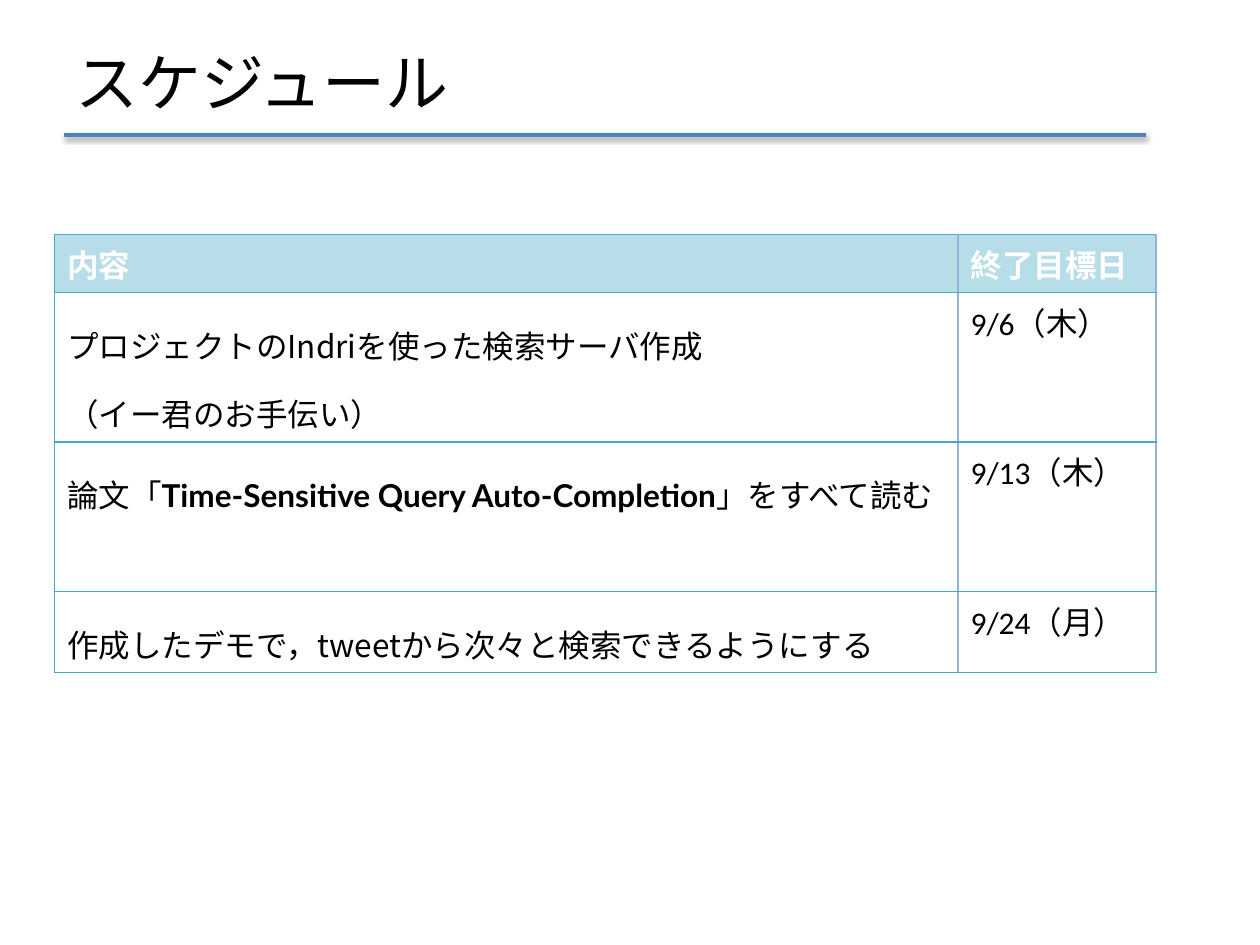
from lxml.etree import SubElement
from pptx import Presentation
from pptx.dml.color import RGBColor
from pptx.enum.shapes import MSO_CONNECTOR
from pptx.enum.text import MSO_ANCHOR
from pptx.oxml import parse_xml
from pptx.oxml.ns import nsdecls, qn
from pptx.util import Pt

BLACK = RGBColor(0x00, 0x00, 0x00)
WHITE = RGBColor(0xFF, 0xFF, 0xFF)
HEADER_FILL = RGBColor(0xB7, 0xDE, 0xE8)
TEAL = RGBColor(0x46, 0xAA, 0xC5)
PALE_BLUE = RGBColor(0x95, 0xB3, 0xD7)
RULE_BLUE = RGBColor(0x4F, 0x81, 0xBD)
JAPANESE, LATIN, PAPER = "Noto Sans CJK JP", "Calibri", "Lato"

TITLE = "スケジュール"
HEADERS = ["内容", "終了目標日"]
TASKS = [
    ([[("プロジェクトのIndriを使った検索サーバ作成", JAPANESE)],
      [("（イー君のお手伝い）", JAPANESE)]], "9/6（木）"),
    ([[("論文「", JAPANESE),
       ("Time-Sensitive Query Auto-Completion", PAPER),
       ("」をすべて読む", JAPANESE)]], "9/13（木）"),
    ([[("作成したデモで，tweetから次々と検索できるようにする", JAPANESE)]], "9/24（月）"),
]
COLUMN_WIDTHS = [516.25, 113.25]
ROW_HEIGHTS = [33.2, 85.4, 85.4, 46.2]


def add_run(paragraph, text, typeface, size, color, bold=False):
    run = paragraph.add_run()
    run.text = text
    font = run.font
    font.name, font.size, font.bold = typeface, Pt(size), bold
    font.color.rgb = color
    SubElement(run._r.get_or_add_rPr(), qn("a:ea"), typeface=JAPANESE)


def set_borders(cell, left):
    sides = [("L", *left), ("R", PALE_BLUE, 1), ("T", TEAL, 0.75), ("B", TEAL, 0.75)]
    properties = cell._tc.get_or_add_tcPr()
    for index, (side, color, width) in enumerate(sides):
        properties.insert(index, parse_xml(
            f'<a:ln{side} {nsdecls("a")} w="{Pt(width)}"><a:solidFill>'
            f'<a:srgbClr val="{color}"/></a:solidFill></a:ln{side}>'))


def fill_cell(cell, paragraphs, color=BLACK, header=False, spacing=None):
    frame = cell.text_frame
    for index, runs in enumerate(paragraphs):
        paragraph = frame.add_paragraph() if index else frame.paragraphs[0]
        if spacing:
            paragraph.line_spacing = spacing
        for text, typeface in runs:
            add_run(paragraph, text, typeface, 18, color, header or typeface == PAPER)
    if header:
        cell.fill.solid()
        cell.fill.fore_color.rgb = HEADER_FILL
    else:
        cell.fill.background()


presentation = Presentation()
presentation.slide_width, presentation.slide_height = Pt(720), Pt(540)
slide = presentation.slides.add_slide(presentation.slide_layouts[6])

title = slide.shapes.add_textbox(Pt(36), Pt(21.6), Pt(588), Pt(49.7))
title.text_frame.word_wrap = True
title.text_frame.vertical_anchor = MSO_ANCHOR.MIDDLE
add_run(title.text_frame.paragraphs[0], TITLE, JAPANESE, 36, BLACK)

table_frame = slide.shapes.add_table(
    len(ROW_HEIGHTS), len(HEADERS), Pt(31.2), Pt(134),
    Pt(sum(COLUMN_WIDTHS)), Pt(sum(ROW_HEIGHTS)))
table = table_frame.table
table.horz_banding = False
for column, width in zip(table.columns, COLUMN_WIDTHS):
    column.width = Pt(width)
for row, height in zip(table.rows, ROW_HEIGHTS):
    row.height = Pt(height)

for index, header in enumerate(HEADERS):
    fill_cell(table.cell(0, index), [[(header, LATIN)]], WHITE, header=True)
for index, (task, due) in enumerate(TASKS, 1):
    fill_cell(table.cell(index, 0), task, spacing=1.5)
    fill_cell(table.cell(index, 1), [[(due, LATIN)]])
for row in table.rows:
    for cell, left in zip(row.cells, [(TEAL, 0.75), (PALE_BLUE, 1)]):
        set_borders(cell, left)

rule = slide.shapes.add_connector(
    MSO_CONNECTOR.STRAIGHT, Pt(36.7), Pt(77.2), Pt(654.8), Pt(77.2))
rule.line.color.rgb = RULE_BLUE
rule.line.width = Pt(2)
rule._element.spPr.append(parse_xml(
    f'<a:effectLst {nsdecls("a")}><a:outerShdw blurRad="{Pt(3.1)}" dist="{Pt(1.6)}" '
    f'dir="5400000" rotWithShape="0"><a:srgbClr val="{BLACK}"><a:alpha val="38000"/>'
    '</a:srgbClr></a:outerShdw></a:effectLst>'))

presentation.save("out.pptx")
